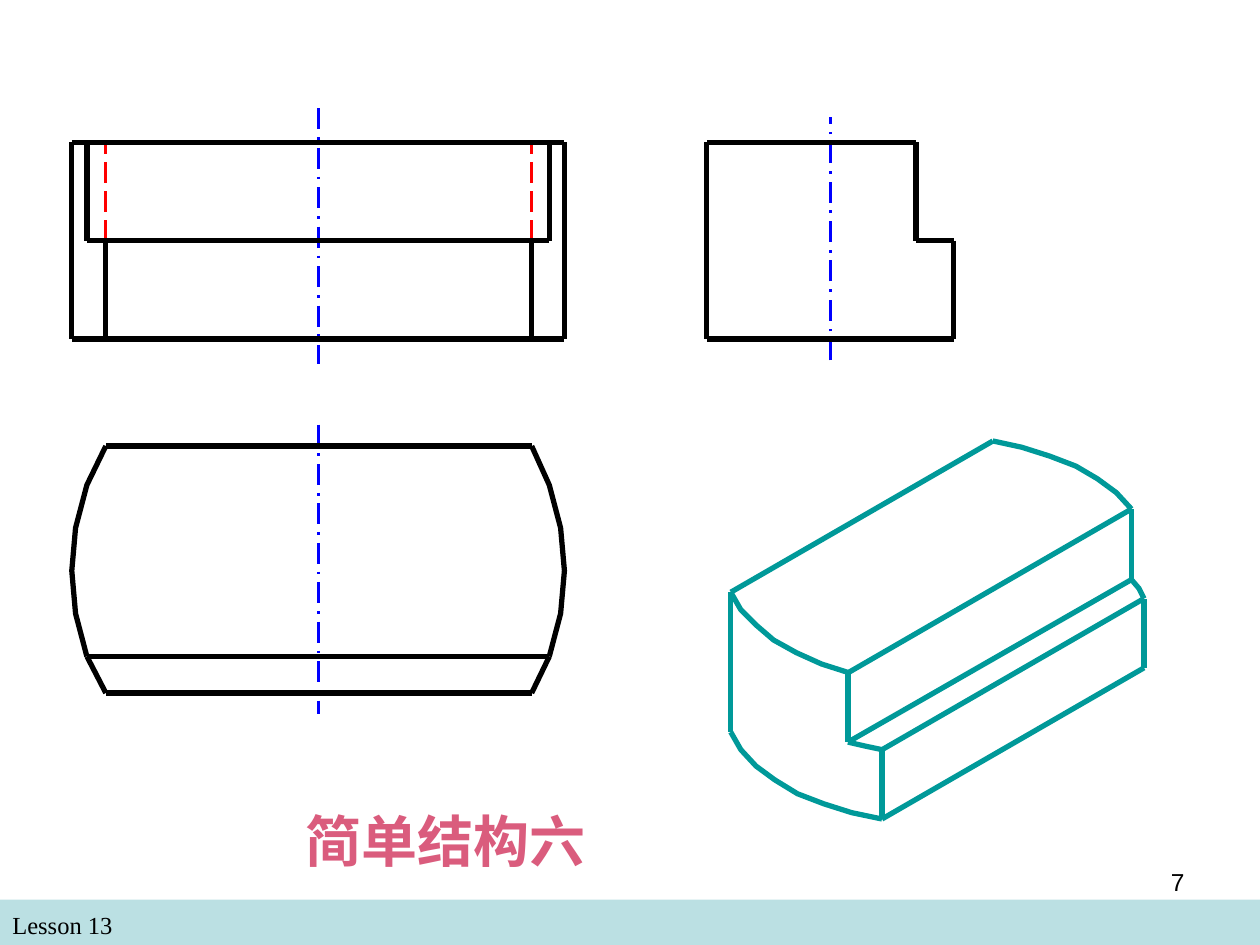
from pptx import Presentation
from pptx.dml.color import RGBColor
from pptx.enum.dml import MSO_LINE as Dash
from pptx.enum.shapes import MSO_CONNECTOR as Link, MSO_SHAPE as Shape
from pptx.enum.text import MSO_ANCHOR as Anchor, MSO_AUTO_SIZE as Fit, PP_ALIGN as Align
from pptx.oxml.xmlchemy import OxmlElement as Element
from pptx.util import Inches, Pt

EDGE = {"color": "000000", "width": 3}
SOLID = {"color": "009999", "width": 3}
AXIS = {"color": "0000FF", "width": 1.5, "dash": Dash.LONG_DASH_DOT}
HIDDEN = {"color": "FF0000", "width": 1.5, "dash": Dash.LONG_DASH}

# Levels shared by the front and side views
TOP, STEP, BASE = 1.13, 1.91, 2.69
# Left and right limits shared by the front and top views
OUTER, INNER, FLAT = (0.57, 4.48), (0.69, 4.36), (0.84, 4.22)
MID = 2.53
# Depths in the top view
BACK, LEDGE, FRONT = 3.54, 5.21, 5.5

AXES = [
    [(MID, 0.86), (MID, 2.89)],
    [(6.59, 2.86), (6.59, 0.93)],
    [(MID, 3.37), (MID, 5.67)],
]

SIDE = [(5.61, TOP), (7.27, TOP), (7.27, STEP), (7.57, STEP), (7.57, BASE), (5.61, BASE)]

ARCS = [
    [(4.36, LEDGE), (4.45, 4.87), (4.48, 4.53), (4.45, 4.19), (4.36, 3.85), (4.22, BACK)],
    [(0.84, BACK), (0.69, 3.85), (0.6, 4.19), (0.57, 4.53), (0.6, 4.87), (0.69, LEDGE)],
]

BLOCK = [
    [(9.08, 5.3), (7, 6.5)],
    [(9.08, 5.3), (9.08, 4.75)],
    [(5.8, 4.7), (7.88, 3.5)],
    [(8.98, 4.04), (8.86, 3.91), (8.71, 3.8), (8.54, 3.7), (8.33, 3.62),
     (8.11, 3.55), (7.88, 3.5)],
    [(7, 6.5), (7, 5.95)],
    [(5.8, 5.81), (5.88, 5.95), (6, 6.08), (6.15, 6.19), (6.33, 6.3),
     (6.54, 6.38), (6.76, 6.45), (7, 6.5)],
    [(5.8, 5.81), (5.8, 4.7)],
    [(5.8, 4.7), (5.88, 4.84), (6, 4.96), (6.14, 5.08), (6.32, 5.18),
     (6.52, 5.27), (6.74, 5.34)],
    [(9.08, 4.75), (9.04, 4.67), (8.98, 4.6)],
    [(9.08, 4.75), (7, 5.95)],
    [(6.73, 5.89), (6.86, 5.92), (7, 5.95)],
    [(6.73, 5.34), (8.98, 4.04)],
    [(8.98, 4.04), (8.98, 4.6)],
    [(8.98, 4.6), (6.73, 5.89)],
    [(6.73, 5.89), (6.73, 5.34)],
]


def rgb(code):
    return RGBColor.from_string(code)


def draw(slide, points, color, width, dash=None):
    """Draw a straight edge as a connector, a longer run as an open outline."""
    spots = [(Inches(x), Inches(y)) for x, y in points]
    if len(spots) == 2:
        item = slide.shapes.add_connector(Link.STRAIGHT, *spots[0], *spots[1])
    else:
        maker = slide.shapes.build_freeform(*spots[0])
        maker.add_line_segments(spots[1:], close=False)
        item = maker.convert_to_shape()
        item.fill.background()
    item.line.color.rgb = rgb(color)
    item.line.width = Pt(width)
    if dash:
        item.line.dash_style = dash
    item._element.spPr.append(Element("a:effectLst"))


def place(item, left, top, width, height):
    box = {"left": left, "top": top, "width": width, "height": height}
    for name, value in box.items():
        setattr(item, name, Inches(value))


def write(item, text, align, color="000000", **font):
    frame = item.text_frame
    setup = {"word_wrap": True, "auto_size": Fit.NONE, "vertical_anchor": Anchor.TOP}
    for name, value in setup.items():
        setattr(frame, name, value)
    para = frame.paragraphs[0]
    para.alignment = align
    para.space_before = Pt(0)
    para.line_spacing = 1.0
    run = para.add_run()
    run.text = text
    run.font.color.rgb = rgb(color)
    for name, value in font.items():
        setattr(run.font, name, value)


def label(slide, text, box, align, font):
    item = slide.shapes.add_textbox(*map(Inches, box))
    write(item, text, align, size=Pt(14), name=font)


def footer(slide):
    band = slide.shapes.add_shape(Shape.RECTANGLE, *map(Inches, (0, 7.14, 10, 0.36)))
    band.shadow.inherit = False
    band.fill.solid()
    band.fill.fore_color.rgb = rgb("BBE0E3")
    band.line.fill.background()
    label(slide, "Lesson 13", (0, 7.17, 4.83, 0.34), Align.LEFT, "Times New Roman")
    label(slide, "7", (7.17, 6.83, 2.33, 0.52), Align.RIGHT, "Arial")


def title(slide):
    head = slide.shapes.title
    place(head, 0, 6.35, 7.08, 0.64)
    write(head, "简单结构六", Align.CENTER, "DA5C7D",
          size=Pt(32), bold=True, name="Times New Roman")


def front(slide):
    for x in FLAT:
        draw(slide, [(x, STEP), (x, TOP)], **HIDDEN)
    for limits, y in ((OUTER, TOP), (INNER, STEP), (OUTER, BASE)):
        draw(slide, [(x, y) for x in limits], **EDGE)
    for limits, high, low in ((OUTER, TOP, BASE), (INNER, TOP, STEP), (FLAT, STEP, BASE)):
        for x in limits:
            draw(slide, [(x, high), (x, low)], **EDGE)


def side(slide):
    for pair in zip(SIDE, SIDE[1:] + SIDE[:1]):
        draw(slide, pair, **EDGE)


def plan(slide):
    for limits, y in ((FLAT, BACK), (INNER, LEDGE), (FLAT, FRONT)):
        draw(slide, [(x, y) for x in limits], **EDGE)
    for arc in ARCS:
        draw(slide, arc, **EDGE)
    for near, far in zip(FLAT, INNER):
        draw(slide, [(near, FRONT), (far, LEDGE)], **EDGE)


def main():
    deck = Presentation()
    deck.slide_width, deck.slide_height = Inches(10), Inches(7.5)
    slide = deck.slides.add_slide(deck.slide_layouts[5])
    footer(slide)
    for edge in BLOCK:
        draw(slide, edge, **SOLID)
    title(slide)
    for axis in AXES:
        draw(slide, axis, **AXIS)
    for view in (front, side, plan):
        view(slide)
    deck.save("out.pptx")


if __name__ == "__main__":
    main()
